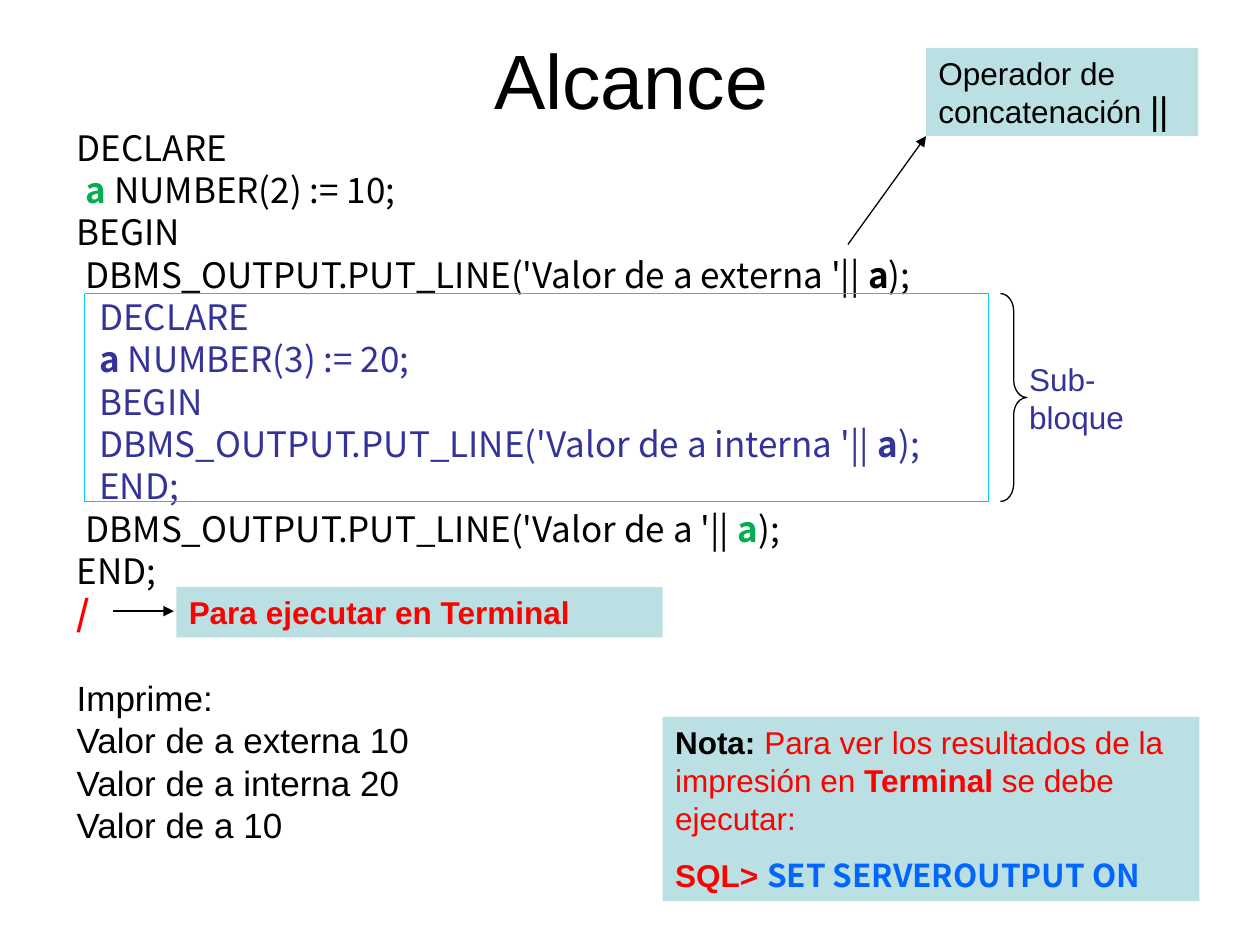
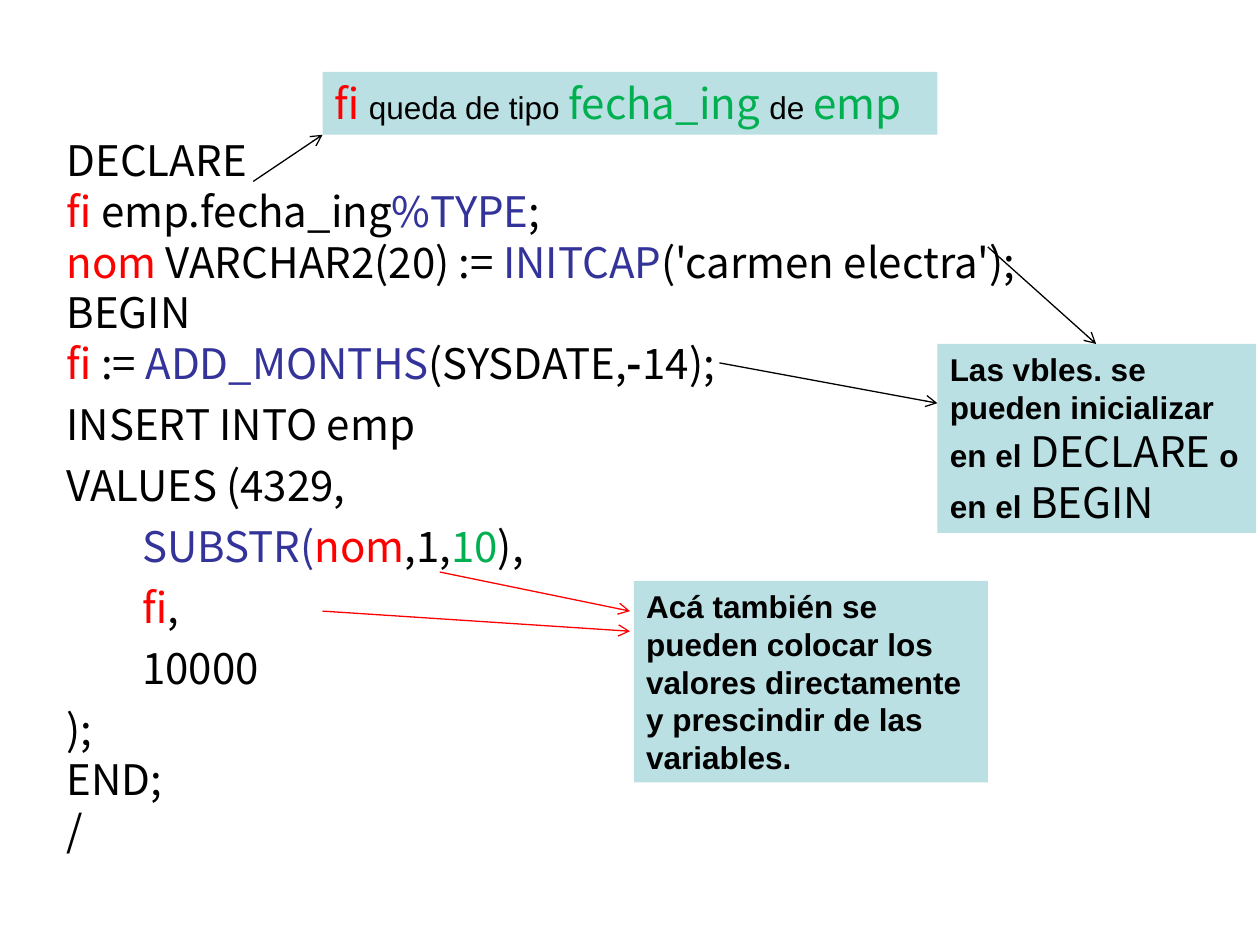
from functools import partial

from lxml.etree import SubElement
from pptx import Presentation
from pptx.dml.color import RGBColor
from pptx.enum.dml import MSO_LINE
from pptx.enum.shapes import MSO_CONNECTOR, MSO_SHAPE
from pptx.enum.text import MSO_ANCHOR, PP_ALIGN
from pptx.oxml.ns import qn
from pptx.util import Inches, Pt

BLACK = "000000"
RED = "FF0000"
GREEN = "00B050"
INDIGO = "333399"
BLUE = "0066FF"
CYAN = "00CCFF"
CALLOUT_FILL = "BBE0E3"
TEXT_FONT = "Arial"
CODE_FONT = "Noto Sans CJK SC"
LINE_HEIGHT = 1.2
TIGHT = 0.8


def color(value):
    return RGBColor.from_string(value)


def make_run(font, size, text, fill=BLACK, bold=False):
    return text, font, size, fill, bold


note = partial(make_run, TEXT_FONT, 18)
code20 = partial(make_run, CODE_FONT, 20)
code24 = partial(make_run, CODE_FONT, 24)


def write_paragraph(frame, runs, before=0, spacing=1, indent=0, first=False):
    paragraph = frame.paragraphs[0] if first else frame.add_paragraph()
    paragraph.alignment = PP_ALIGN.LEFT
    paragraph.space_before = Pt(before)
    largest = max(size for _, _, size, _, _ in runs)
    paragraph.line_spacing = Pt(round(largest * LINE_HEIGHT * spacing, 1))
    if indent:
        paragraph._p.get_or_add_pPr().set("marL", str(Inches(indent)))
    for text, font, size, fill, bold in runs:
        run = paragraph.add_run()
        run.text = text
        run.font.name = font
        run.font.size = Pt(size)
        run.font.bold = bold
        run.font.color.rgb = color(fill)
        properties = run._r.get_or_add_rPr()
        SubElement(properties, qn("a:ea")).set("typeface", font)
    return paragraph


def add_text(slide, left, top, width, height, wrap=True):
    box = slide.shapes.add_textbox(
        Inches(left), Inches(top), Inches(width), Inches(height))
    box.text_frame.word_wrap = wrap
    return box.text_frame


def add_title(slide, text):
    frame = add_text(slide, 0.51, 0, 9, 1.25)
    frame.vertical_anchor = MSO_ANCHOR.MIDDLE
    runs = [make_run(TEXT_FONT, 44, text)]
    write_paragraph(frame, runs, first=True).alignment = PP_ALIGN.CENTER


def add_listing(slide, place, before, lines):
    frame = add_text(slide, *place)
    for index, (runs, options) in enumerate(lines):
        settings = {"before": before, "spacing": TIGHT, **options}
        write_paragraph(frame, runs, first=index == 0, **settings)


def add_shape(slide, kind, left, top, width, height):
    shape = slide.shapes.add_shape(
        kind, Inches(left), Inches(top), Inches(width), Inches(height))
    shape.shadow.inherit = False
    shape.fill.background()
    return shape


def set_line(line, fill, width):
    line.color.rgb = color(fill)
    line.width = Pt(width)


def add_callout(slide, place, *paragraphs, before=0):
    shape = add_shape(slide, MSO_SHAPE.RECTANGLE, *place)
    shape.fill.solid()
    shape.fill.fore_color.rgb = color(CALLOUT_FILL)
    shape.line.fill.background()
    frame = shape.text_frame
    frame.word_wrap = True
    frame.vertical_anchor = MSO_ANCHOR.TOP
    for index, runs in enumerate(paragraphs):
        write_paragraph(frame, runs, before=before if index else 0,
                        first=index == 0)


def add_arrow(slide, start, end, head, fill=BLACK):
    points = [Inches(value) for value in (*start, *end)]
    connector = slide.shapes.add_connector(MSO_CONNECTOR.STRAIGHT, *points)
    set_line(connector.line, fill, 0.75)
    SubElement(connector.line._get_or_add_ln(), qn("a:tailEnd")).set("type", head)
    SubElement(connector._element.spPr, qn("a:effectLst"))


def build_scope_slide(slide):
    add_title(slide, "Alcance")
    result = partial(make_run, TEXT_FONT, 20)
    outer, inner = {"indent": 0.07}, {"indent": 0.18}
    add_listing(slide, (0.51, 1.02, 9, 6.48), 5, [
        ([code20("DECLARE")], {}),
        ([code20("a", GREEN, True), code20(" NUMBER(2) := 10;")], outer),
        ([code20("BEGIN")], {}),
        ([code20("DBMS_OUTPUT.PUT_LINE('Valor de a externa '|| "),
          code20("a", bold=True), code20(");")], outer),
        ([code20("DECLARE", INDIGO)], inner),
        ([code20("a", INDIGO, True), code20(" NUMBER(3) := 20;", INDIGO)], inner),
        ([code20("BEGIN", INDIGO)], inner),
        ([code20("DBMS_OUTPUT.PUT_LINE('Valor de a interna '|| ", INDIGO),
          code20("a", INDIGO, True), code20(");", INDIGO)], inner),
        ([code20("END;", INDIGO)], inner),
        ([code20("DBMS_OUTPUT.PUT_LINE('Valor de a '|| "),
          code20("a", GREEN, True), code20(");")], outer),
        ([code20("END;")], {}),
        ([code20("/", RED, True)], {}),
        ([result("Imprime:")], {"before": 29.2}),
        ([result("Valor de a externa 10")], {}),
        ([result("Valor de a interna 20")], {}),
        ([result("Valor de a 10")], {}),
    ])
    add_callout(
        slide, (5.26, 5.69, 4.26, 1.46),
        [note("Nota:", bold=True),
         note(" Para ver los resultados de la impresión en ", RED),
         note("Terminal", RED, True), note(" se debe ejecutar:", RED)],
        [note("SQL> ", RED, True),
         make_run(CODE_FONT, 18, "SET SERVEROUTPUT ON", BLUE, True)],
        before=11.2)

    brace = add_shape(slide, MSO_SHAPE.RIGHT_BRACE, 7.94, 2.33, 0.21, 1.65)
    brace.adjustments[0] = 0.66
    set_line(brace.line, BLACK, 0.75)
    label = add_text(slide, 8.07, 2.81, 0.95, 0.7, wrap=False)
    write_paragraph(label, [note("Sub-", INDIGO)], first=True)
    write_paragraph(label, [note("bloque", INDIGO)])

    frame = add_shape(slide, MSO_SHAPE.RECTANGLE, 0.67, 2.33, 7.17, 1.65)
    set_line(frame.line, CYAN, 0.25)
    frame.line.dash_style = MSO_LINE.ROUND_DOT

    add_callout(slide, (7.35, 0.38, 2.16, 0.7),
                [note("Operador de concatenación "),
                 make_run(CODE_FONT, 18, "||", BLACK, True)])
    add_arrow(slide, (6.73, 1.94), (7.35, 1.08), "triangle")
    add_callout(slide, (1.4, 4.66, 3.86, 0.4),
                [note("Para ejecutar en Terminal", RED, True)])
    add_arrow(slide, (0.9, 4.85), (1.38, 4.85), "triangle")


def build_types_slide(slide):
    loose = {"spacing": 1}
    value = {"spacing": 1, "indent": 0.6}
    add_listing(slide, (0.43, 1.1, 8.74, 5.72), 6, [
        ([code24("DECLARE")], {}),
        ([code24("fi", RED), code24(" emp.fecha_ing"),
          code24("%TYPE", INDIGO), code24(";")], {}),
        ([code24("nom", RED), code24(" VARCHAR2(20) :="),
          code24(" INITCAP", INDIGO), code24("('carmen electra');")], {}),
        ([code24("BEGIN")], {}),
        ([code24("fi", RED), code24(" := "), code24("ADD_MONTHS", INDIGO),
          code24("(SYSDATE,"), code24("-", bold=True), code24("14);")], {}),
        ([code24("INSERT INTO emp")], loose),
        ([code24("VALUES (4329,")], loose),
        ([code24("SUBSTR(", INDIGO), code24("nom", RED), code24(",1,"),
          code24("10", GREEN), code24("),")], value),
        ([code24("fi", RED), code24(",")], value),
        ([code24("10000")], value),
        ([code24(");")], loose),
        ([code24("END;")], {}),
        ([code24("/")], {}),
    ])
    add_callout(slide, (7.44, 2.73, 2.53, 1.5),
                [note("Las vbles. se pueden inicializar", bold=True)],
                [note("en el ", bold=True), code24("DECLARE"),
                 note(" o en el ", bold=True), code24("BEGIN")])
    add_arrow(slide, (7.84, 1.96), (8.7, 2.73), "arrow")
    add_arrow(slide, (5.71, 2.88), (7.44, 3.2), "arrow")
    add_callout(slide, (5.03, 4.61, 2.81, 1.6),
                [note("Acá también se pueden colocar los valores directamente "
                      "y prescindir de las variables.", bold=True)])
    add_arrow(slide, (3.49, 4.54), (5, 4.85), "arrow", RED)
    add_arrow(slide, (2.56, 4.85), (5, 5.01), "arrow", RED)
    add_callout(slide, (2.56, 0.57, 4.88, 0.5),
                [code24("fi", RED), note(" queda de tipo "),
                 code24("fecha_ing ", GREEN), note("de "), code24("emp", GREEN)])
    add_arrow(slide, (2.01, 1.44), (2.56, 1.07), "arrow")


def main():
    presentation = Presentation()
    presentation.slide_width = Inches(10)
    presentation.slide_height = Inches(7.5)
    for build in (build_scope_slide, build_types_slide):
        build(presentation.slides.add_slide(presentation.slide_layouts[6]))
    presentation.save("out.pptx")


if __name__ == "__main__":
    main()
